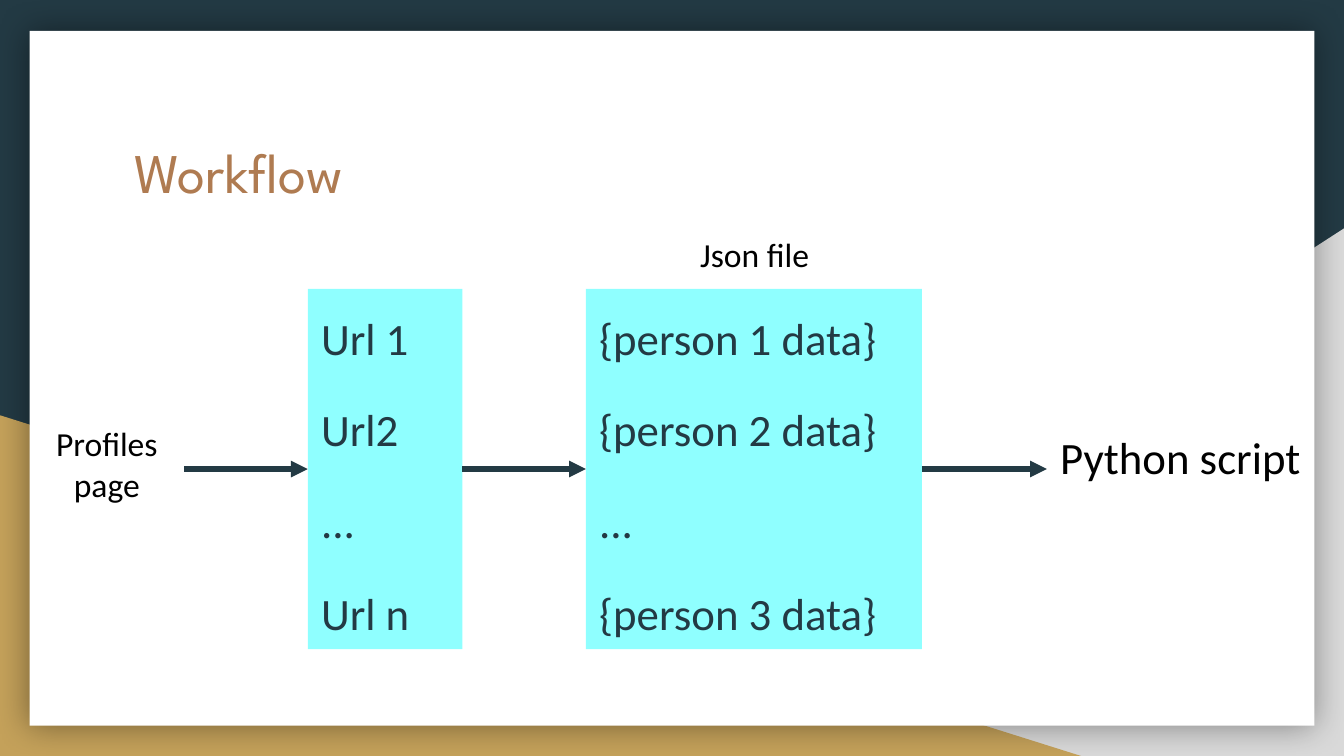
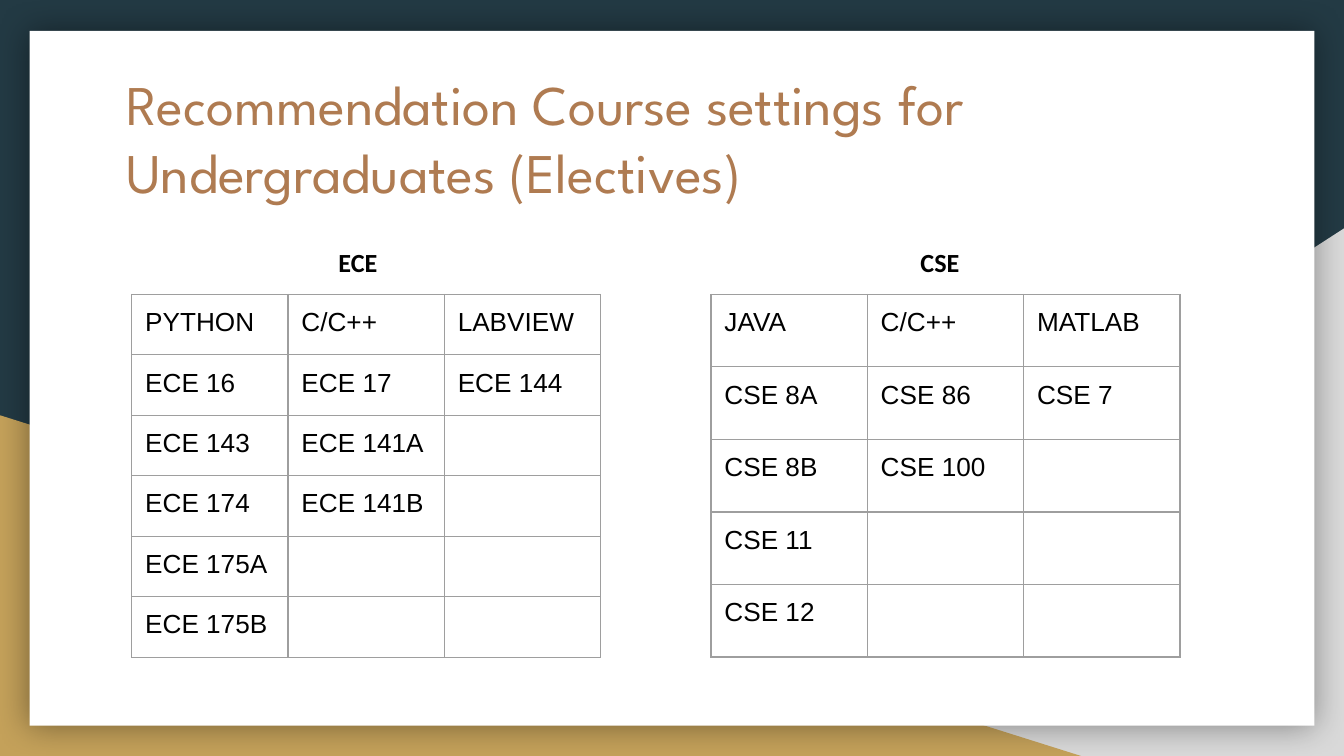
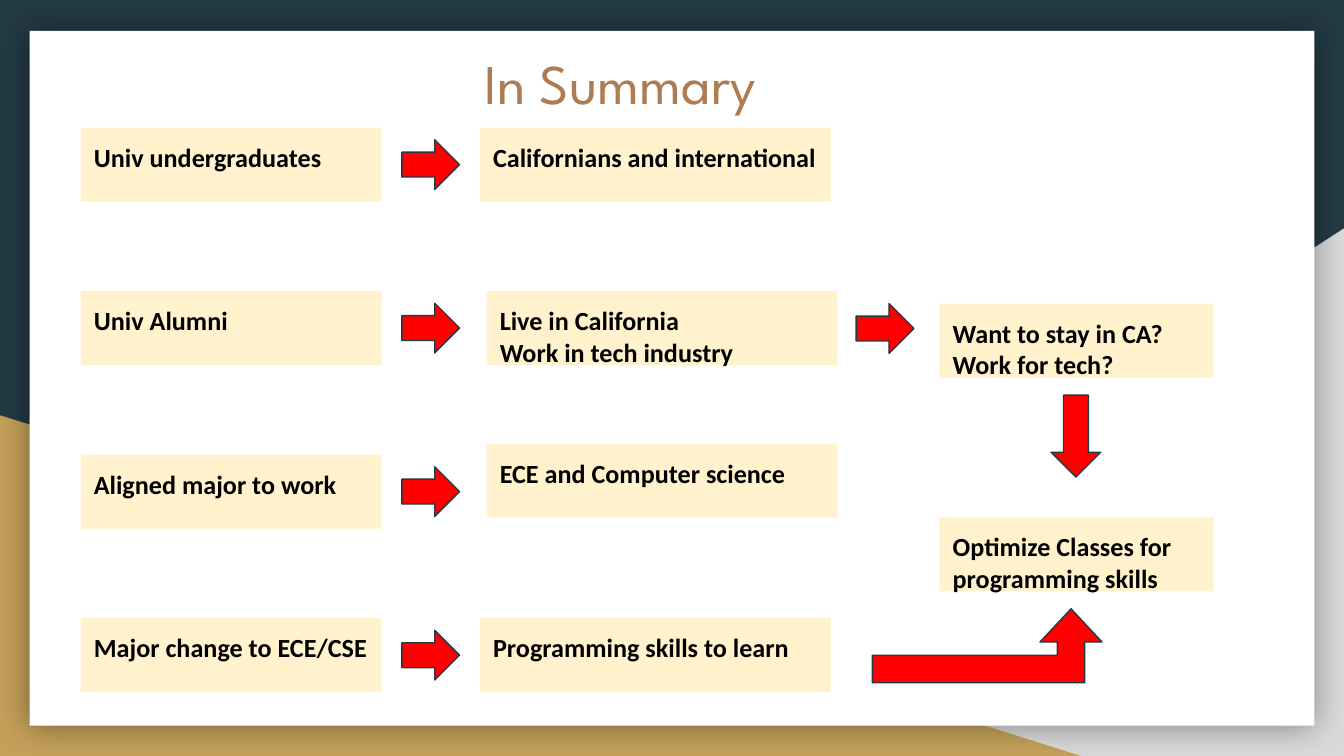
from dataclasses import dataclass
from typing import Any, NamedTuple

from lxml.etree import SubElement
from pptx import Presentation
from pptx.dml.color import RGBColor
from pptx.enum.shapes import MSO_CONNECTOR as Connector, MSO_SHAPE as Preset
from pptx.enum.text import MSO_ANCHOR as Anchor, PP_ALIGN as Align
from pptx.oxml.ns import qn
from pptx.util import Inches, Pt


@dataclass(frozen=True)
class Theme:
    navy: str = "233A44"
    gold: str = "C4A15A"
    silver: str = "D9D9D9"
    white: str = "FFFFFF"
    black: str = "000000"
    copper: str = "AF7B51"
    cyan: str = "00FFFF"
    cream: str = "FFF2CC"
    red: str = "FF0000"
    grid: str = "9E9E9E"
    title_font: str = "League Spartan"
    body_font: str = "Calibri"
    table_font: str = "Arial"
    title_size: int = 30
    large_size: int = 24
    label_size: int = 18
    small_size: int = 14
    thin_line: float = 0.75
    flow_line: float = 3
    cyan_alpha: int = 44
    inset: float = 0.1


THEME = Theme()


class Box(NamedTuple):
    left: float
    top: float
    width: float
    height: float

    def lengths(self) -> list[int]:
        return [Inches(value) for value in self]


class TextStyle(NamedTuple):
    font: str
    size: int
    color: str
    bold: bool = False
    align: Any = Align.LEFT


class TextItem(NamedTuple):
    box: Box
    lines: tuple[str, ...]


class CourseTable(NamedTuple):
    heading: str
    heading_left: float
    left: float
    row_height: float
    rows: tuple[tuple[str, ...], ...]


class BlockArrow(NamedTuple):
    box: Box
    preset: Any = Preset.RIGHT_ARROW
    adjustments: tuple[float, ...] = (0.5, 0.5)
    rotation: int = 0


TITLE = TextStyle(THEME.title_font, THEME.title_size, THEME.copper)
LIST = TextStyle(THEME.body_font, THEME.large_size, THEME.navy)
LARGE = TextStyle(THEME.body_font, THEME.large_size, THEME.black)
LABEL = TextStyle(THEME.body_font, THEME.label_size, THEME.black, align=Align.CENTER)
STRONG = TextStyle(THEME.body_font, THEME.small_size, THEME.black, bold=True)
CELL = TextStyle(THEME.table_font, THEME.small_size, THEME.black)

MARGINS = {
    f"margin_{side}": Inches(THEME.inset) for side in ("left", "top", "right", "bottom")
}
FRAME_FORMAT = {**MARGINS, "word_wrap": True, "vertical_anchor": Anchor.TOP}


def apply_format(target: Any, values: dict[str, Any]) -> None:
    for name, value in values.items():
        setattr(target, name, value)


def write_lines(frame: Any, lines: tuple[str, ...], style: TextStyle) -> None:
    font_format = {"name": style.font, "size": Pt(style.size), "bold": style.bold}
    for index, line in enumerate(lines):
        paragraph = frame.add_paragraph() if index else frame.paragraphs[0]
        paragraph.alignment = style.align
        if not line:
            SubElement(paragraph._p, qn("a:endParaRPr"), sz=str(style.size * 100))
            continue
        run = paragraph.add_run()
        run.text = line
        apply_format(run.font, font_format)
        run.font.color.rgb = RGBColor.from_string(style.color)


def add_text(slide: Any, item: TextItem, style: TextStyle) -> None:
    frame = slide.shapes.add_textbox(*item.box.lengths()).text_frame
    apply_format(frame, FRAME_FORMAT)
    write_lines(frame, item.lines, style)


def add_block(slide: Any, preset: Any, box: Box, color: str) -> Any:
    shape = slide.shapes.add_shape(preset, *box.lengths())
    shape.shadow.inherit = False
    shape.fill.solid()
    shape.fill.fore_color.rgb = RGBColor.from_string(color)
    shape.line.fill.background()
    apply_format(shape.text_frame, FRAME_FORMAT)
    return shape


def add_soft_shadow(shape: Any) -> None:
    effects = shape._element.spPr.find(qn("a:effectLst"))
    shadow = SubElement(
        effects, qn("a:outerShdw"), blurRad=str(Pt(18)), dist="0", dir="0",
        algn="ctr", rotWithShape="0",
    )
    color = SubElement(shadow, qn("a:srgbClr"), val=THEME.black)
    SubElement(color, qn("a:alpha"), val="40000")


def add_slide(presentation: Any, title: str, title_box: Box) -> Any:
    slide = presentation.slides.add_slide(presentation.slide_layouts[6])
    slide.background.fill.solid()
    slide.background.fill.fore_color.rgb = RGBColor.from_string(THEME.navy)
    right_corner = add_block(
        slide, Preset.RIGHT_TRIANGLE, Box(3.92, 1.7, 6.08, 3.93), THEME.silver
    )
    right_corner._element.spPr.find(qn("a:xfrm")).set("flipH", "1")
    add_block(slide, Preset.RIGHT_TRIANGLE, Box(0, 3.09, 8.06, 2.54), THEME.gold)
    card = add_block(slide, Preset.RECTANGLE, Box(0.22, 0.23, 9.56, 5.17), THEME.white)
    add_soft_shadow(card)
    add_text(slide, TextItem(title_box, (title,)), TITLE)
    return slide


def add_list_panel(slide: Any, panel: TextItem) -> None:
    shape = add_block(slide, Preset.RECTANGLE, panel.box, THEME.cyan)
    color = shape._element.spPr.find(qn("a:solidFill")).find(qn("a:srgbClr"))
    SubElement(color, qn("a:alpha"), val=str(THEME.cyan_alpha * 1000))
    write_lines(shape.text_frame, panel.lines, LIST)
    paragraphs = shape.text_frame.paragraphs
    for index, paragraph in enumerate(paragraphs):
        spacing = {"line_spacing": 1.15, "space_before": Pt(16 if index else 0)}
        apply_format(paragraph, spacing)
    paragraphs[-1].space_after = Pt(16)


def add_flow_arrow(slide: Any, start: float, end: float, level: float) -> None:
    ends = [Inches(value) for value in (start, level, end, level)]
    connector = slide.shapes.add_connector(Connector.STRAIGHT, *ends)
    connector.line.width = Pt(THEME.flow_line)
    connector.line.color.rgb = RGBColor.from_string(THEME.navy)
    SubElement(connector.line._get_or_add_ln(), qn("a:tailEnd"), type="triangle")
    SubElement(connector._element.spPr, qn("a:effectLst"))


def add_cell_borders(cell: Any) -> None:
    properties = cell._tc.get_or_add_tcPr()
    for position, side in enumerate(("lnL", "lnR", "lnT", "lnB")):
        line = SubElement(properties, qn(f"a:{side}"), w=str(Pt(THEME.thin_line)))
        fill = SubElement(line, qn("a:solidFill"))
        SubElement(fill, qn("a:srgbClr"), val=THEME.grid)
        properties.insert(position, line)


def add_course_table(slide: Any, course_table: CourseTable) -> None:
    heading_box = Box(course_table.heading_left, 1.73, 0.79, 0.45)
    add_text(slide, TextItem(heading_box, (course_table.heading,)), STRONG)
    row_count, column_count = len(course_table.rows), len(course_table.rows[0])
    box = Box(course_table.left, 2.19, 3.49, course_table.row_height * row_count)
    table = slide.shapes.add_table(row_count, column_count, *box.lengths()).table
    apply_format(table, {"first_row": False, "horz_banding": False})
    for row, values in zip(table.rows, course_table.rows):
        row.height = Inches(course_table.row_height)
        for cell, value in zip(row.cells, values):
            apply_format(cell, MARGINS)
            cell.fill.background()
            add_cell_borders(cell)
            write_lines(cell.text_frame, (value,), CELL)


def add_note(slide: Any, note: TextItem) -> None:
    shape = add_block(slide, Preset.RECTANGLE, note.box, THEME.cream)
    write_lines(shape.text_frame, note.lines, STRONG)


def add_block_arrow(slide: Any, arrow: BlockArrow) -> None:
    shape = add_block(slide, arrow.preset, arrow.box, THEME.red)
    shape.line.color.rgb = RGBColor.from_string(THEME.navy)
    shape.line.width = Pt(THEME.thin_line)
    shape.rotation = arrow.rotation
    for index, value in enumerate(arrow.adjustments):
        shape.adjustments[index] = value


def build_workflow(presentation: Any) -> None:
    slide = add_slide(presentation, "Workflow", Box(0.9, 0.92, 8.21, 1.04))
    panels = (
        TextItem(
            Box(4.36, 2.15, 2.5, 2.68),
            ("{person 1 data}", "{person 2 data}", "...", "{person 3 data}"),
        ),
        TextItem(Box(2.29, 2.15, 1.15, 2.68), ("Url 1", "Url2", "...", "Url n")),
    )
    for panel in panels:
        add_list_panel(slide, panel)
    for start, end in ((1.37, 2.29), (3.44, 4.36), (6.86, 7.79)):
        add_flow_arrow(slide, start, end, 3.49)
    add_text(slide, TextItem(Box(4.53, 1.64, 2.17, 0.39), ("Json file",)), LABEL)
    add_text(slide, TextItem(Box(0.22, 3.05, 1.15, 0.87), ("Profiles", "page")), LABEL)
    add_text(slide, TextItem(Box(7.79, 3.1, 2, 0.79), ("Python script",)), LARGE)


def build_courses(presentation: Any) -> None:
    slide = add_slide(
        presentation,
        "Recommendation Course settings for Undergraduates (Electives)",
        Box(0.84, 0.42, 9, 1.04),
    )
    tables = (
        CourseTable("ECE", 2.42, 0.98, 0.45, (
            ("PYTHON", "C/C++", "LABVIEW"),
            ("ECE 16", "ECE 17", "ECE 144"),
            ("ECE 143", "ECE 141A", ""),
            ("ECE 174", "ECE 141B", ""),
            ("ECE 175A", "", ""),
            ("ECE 175B", "", ""),
        )),
        CourseTable("CSE", 6.75, 5.29, 0.54, (
            ("JAVA", "C/C++", "MATLAB"),
            ("CSE 8A", "CSE 86", "CSE 7"),
            ("CSE 8B", "CSE 100", ""),
            ("CSE 11", "", ""),
            ("CSE 12", "", ""),
        )),
    )
    for course_table in tables:
        add_course_table(slide, course_table)


def build_summary(presentation: Any) -> None:
    slide = add_slide(presentation, "In Summary", Box(3.51, 0.26, 2.98, 0.69))
    note_height = 0.55
    row_tops = [0.95 + row * (4.6 - 0.95) / 3 for row in range(4)]
    groups = (
        "Univ undergraduates",
        "Univ Alumni",
        "Aligned major to work",
        "Major change to ECE/CSE",
    )
    for top, group in zip(row_tops, groups):
        add_note(slide, TextItem(Box(0.6, top, 2.24, note_height), (group,)))
        add_block_arrow(slide, BlockArrow(Box(2.99, top + 0.09, 0.43, 0.37)))
    findings = (
        (3.57, row_tops[0], ("Californians and international",)),
        (3.62, row_tops[1], ("Live in California", "Work in tech industry")),
        (3.62, 3.3, ("ECE and Computer science",)),
        (3.57, row_tops[3], ("Programming skills to learn",)),
    )
    for left, top, lines in findings:
        add_note(slide, TextItem(Box(left, top, 2.61, note_height), lines))
    conclusions = (
        (2.26, "Want to stay in CA? Work for tech?"),
        (3.85, "Optimize Classes for programming skills"),
    )
    for top, conclusion in conclusions:
        add_note(slide, TextItem(Box(6.99, top, 2.04, note_height), (conclusion,)))
    closing_arrows = (
        BlockArrow(Box(6.37, 2.26, 0.43, 0.37)),
        BlockArrow(Box(7.7, 3.06, 0.61, 0.37), rotation=90),
        BlockArrow(
            Box(6.49, 4.53, 1.71, 0.55), Preset.BENT_UP_ARROW, (0.37, 0.42, 0.45)
        ),
    )
    for arrow in closing_arrows:
        add_block_arrow(slide, arrow)


def main() -> None:
    presentation = Presentation()
    slide_size = {"slide_width": Inches(10), "slide_height": Inches(10 * 9 / 16)}
    apply_format(presentation, slide_size)
    for build in (build_workflow, build_courses, build_summary):
        build(presentation)
    presentation.save("out.pptx")


if __name__ == "__main__":
    main()
